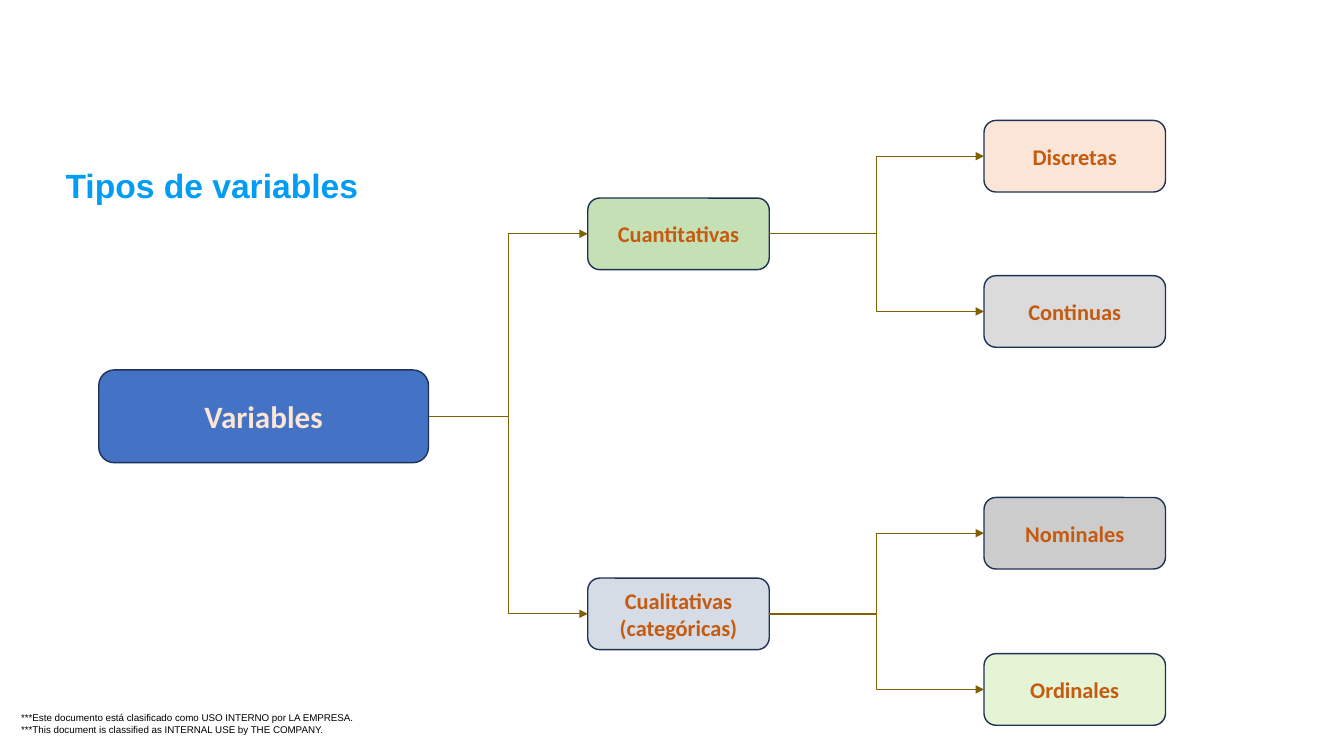
"""Builds a slide with a tree of the types of variables."""
from lxml import etree
from pptx import Presentation
from pptx.dml.color import RGBColor
from pptx.enum.shapes import MSO_CONNECTOR, MSO_SHAPE
from pptx.enum.text import MSO_ANCHOR, MSO_AUTO_SIZE, PP_ALIGN
from pptx.oxml.ns import qn
from pptx.util import Inches, Pt

ELBOW, ROUND = MSO_CONNECTOR.ELBOW, MSO_SHAPE.ROUNDED_RECTANGLE
TOP, MIDDLE = MSO_ANCHOR.TOP, MSO_ANCHOR.MIDDLE
LEFT, CENTER = PP_ALIGN.LEFT, PP_ALIGN.CENTER
LEFT_SITE, RIGHT_SITE = 1, 3

HEX = {
    "title": "019DF4", "note": "000000", "edge": "1E3256", "link": "806000",
    "root": "4472C4", "cream": "FBE5D6", "label": "C55A11", "green": "C5E0B4",
    "slate": "D6DCE5", "silver": "DBDBDB", "gray": "CCCCCC", "lime": "E5F4D4",
}
TITLE = "Tipos de variables"
NOTE = [
    "***Este documento está clasificado como USO INTERNO por LA EMPRESA.",
    "***This document is classified as INTERNAL USE by THE COMPANY.",
]
LEVELS = [
    {"left": 0.98, "width": 3.27, "height": 0.92, "size": 22.2, "color": "cream"},
    {"left": 5.83, "width": 1.8, "height": 0.71, "size": 16, "color": "label"},
    {"left": 9.76, "width": 1.8, "height": 0.71, "size": 16, "color": "label"},
]
NODES = [
    ("Variables", None, 0, 4.13, "root"),
    ("Cuantitativas", "Variables", 1, 2.32, "green"),
    ("Cualitativas\n(categóricas)", "Variables", 1, 6.09, "slate"),
    ("Discretas", "Cuantitativas", 2, 1.55, "cream"),
    ("Continuas", "Cuantitativas", 2, 3.09, "silver"),
    ("Nominales", "Cualitativas\n(categóricas)", 2, 5.29, "gray"),
    ("Ordinales", "Cualitativas\n(categóricas)", 2, 6.84, "lime"),
]


def rgb(name):
    return RGBColor.from_string(HEX[name])


def write(shape, lines, size, color, font="Arial", bold=False, align=LEFT,
          anchor=TOP, inset=(0.1, 0.05)):
    frame = shape.text_frame
    frame.word_wrap = True
    frame.auto_size = MSO_AUTO_SIZE.NONE
    frame.vertical_anchor = anchor
    frame.margin_left = frame.margin_right = Inches(inset[0])
    frame.margin_top = frame.margin_bottom = Inches(inset[1])
    frame.text = "\n".join(lines)
    for para in frame.paragraphs:
        para.alignment = align
        para.font.name = font
        para.font.size = Pt(size)
        para.font.bold = bold
        para.font.color.rgb = rgb(color)


def add_node(shapes, text, level, mid, fill):
    col = LEVELS[level]
    top = mid - col["height"] / 2
    box = shapes.add_shape(ROUND, Inches(col["left"]), Inches(top),
                           Inches(col["width"]), Inches(col["height"]))
    box.shadow.inherit = False
    box.fill.solid()
    box.fill.fore_color.rgb = rgb(fill)
    box.line.color.rgb = rgb("edge")
    box.line.width = Pt(1)
    write(box, text.split("\n"), col["size"], col["color"], font="Calibri",
          bold=True, align=CENTER, anchor=MIDDLE, inset=(0.05, 0.03))
    return box


def add_link(shapes, start, end):
    link = shapes.add_connector(ELBOW, 0, 0, 0, 0)
    link.begin_connect(start, RIGHT_SITE)
    link.end_connect(end, LEFT_SITE)
    link.line.color.rgb = rgb("link")
    link.line.width = Pt(0.5)
    etree.SubElement(link.line._get_or_add_ln(), qn("a:tailEnd"), type="triangle")
    etree.SubElement(link._element.spPr, qn("a:effectLst"))


def main():
    deck = Presentation()
    deck.slide_width, deck.slide_height = Inches(13.33), Inches(7.5)
    slide = deck.slides.add_slide(deck.slide_layouts[5])
    shapes = slide.shapes

    title = shapes.title
    title.left, title.top = Inches(0.55), Inches(1.59)
    title.width, title.height = Inches(7.5), Inches(0.56)
    write(title, [TITLE], 24, "title", bold=True)

    note = shapes.add_textbox(Inches(0.21), Inches(7.06), Inches(3.6), Inches(0.23))
    write(note, NOTE, 7, "note", inset=(0, 0))

    boxes = {}
    for text, parent, level, mid, fill in NODES:
        boxes[text] = add_node(shapes, text, level, mid, fill)
        if parent:
            add_link(shapes, boxes[parent], boxes[text])
    deck.save("out.pptx")


if __name__ == "__main__":
    main()
